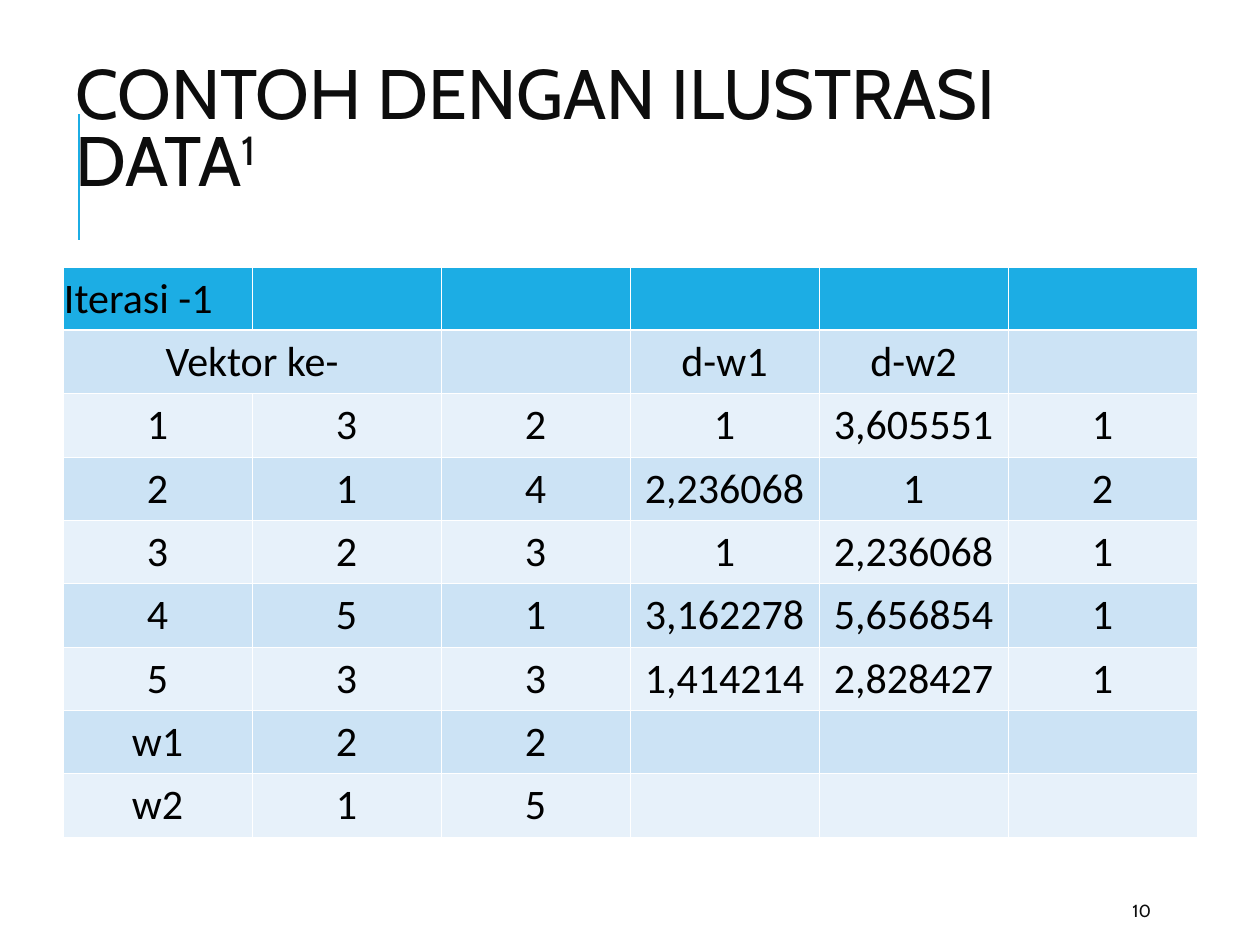
import pptx
import pptx.dml.color
import pptx.enum.shapes
import pptx.enum.text
import pptx.oxml.ns
import pptx.util
from lxml import etree

Cm = pptx.util.Cm
Anchor = pptx.enum.text.MSO_ANCHOR
Align = pptx.enum.text.PP_ALIGN

ROWS = [
    ["Iterasi -1", "", "", "", "", ""],
    ["Vektor ke-", "", "", "d-w1", "d-w2", ""],
    ["1", "3", "2", "1", "3,605551", "1"],
    ["2", "1", "4", "2,236068", "1", "2"],
    ["3", "2", "3", "1", "2,236068", "1"],
    ["4", "5", "1", "3,162278", "5,656854", "1"],
    ["5", "3", "3", "1,414214", "2,828427", "1"],
    ["w1", "2", "2", "", "", ""],
    ["w2", "1", "5", "", "", ""],
]


def color(value):
    return pptx.dml.color.RGBColor.from_string(value)


def assign(target, values):
    for name, value in values.items():
        setattr(target, name, value)


class IterationSlide:
    """Hold the shared style and the slide, and draw each kind of element."""

    ACCENT, INK, BLACK, WHITE = "1CADE4", "0D0D0D", "000000", "FFFFFF"
    BANDS = ("E7F1FA", "CCE3F5")
    THIN, THICK = 0.45, 1.47
    CELL = {"margin_left": Cm(0.02), "margin_right": Cm(0.02),
            "margin_top": Cm(0.13), "margin_bottom": Cm(0.13),
            "vertical_anchor": Anchor.BOTTOM}

    def __init__(self, presentation):
        self.slide = presentation.slides.add_slide(presentation.slide_layouts[6])

    def add_text(self, paragraph, text, font, size, ink):
        run = paragraph.add_run()
        run.text = text
        assign(run.font, {"name": font, "size": pptx.util.Pt(size)})
        run.font.color.rgb = color(ink)
        return run

    def accent_line(self, x, top, bottom):
        line = self.slide.shapes.add_connector(
            pptx.enum.shapes.MSO_CONNECTOR.STRAIGHT, Cm(x), Cm(bottom), Cm(x), Cm(top))
        line.line.color.rgb = color(self.ACCENT)
        line.line.width = pptx.util.Pt(1.5)
        etree.SubElement(line._element.spPr, pptx.oxml.ns.qn("a:effectLst"))

    def text_box(self, left, top, width, height, text, size, superscript="", spacing=1.0):
        shape = self.slide.shapes.add_textbox(Cm(left), Cm(top), Cm(width), Cm(height))
        assign(shape.text_frame, {"word_wrap": True, "vertical_anchor": Anchor.MIDDLE})
        paragraph = shape.text_frame.paragraphs[0]
        paragraph.line_spacing = spacing
        self.add_text(paragraph, text, "Cabin", size, self.INK)
        if superscript:
            run = self.add_text(paragraph, superscript, "Cabin", size, self.INK)
            run._r.get_or_add_rPr().set("baseline", "30000")

    def borders(self, cell, widths):
        properties = cell._tc.get_or_add_tcPr()
        for side, width in widths.items():
            line = etree.SubElement(properties, pptx.oxml.ns.qn(f"a:ln{side}"),
                                    w=str(pptx.util.Pt(width)))
            fill = etree.SubElement(line, pptx.oxml.ns.qn("a:solidFill"))
            etree.SubElement(fill, pptx.oxml.ns.qn("a:srgbClr"), val=self.WHITE)

    def table(self, left, top, column_width, row_height, rows):
        columns = len(rows[0])
        table = self.slide.shapes.add_table(
            len(rows), columns, Cm(left), Cm(top),
            Cm(column_width * columns), Cm(row_height * len(rows))).table
        assign(table, {"first_row": False, "horz_banding": False})
        for row, texts in enumerate(rows):
            for column, text in enumerate(texts):
                cell = table.cell(row, column)
                assign(cell, self.CELL)
                self.borders(cell, {"L": self.THIN, "R": self.THIN,
                                    "T": self.THICK if row == 1 else self.THIN,
                                    "B": self.THICK if row == 0 else self.THIN})
                cell.fill.solid()
                cell.fill.fore_color.rgb = color(self.BANDS[row % 2] if row else self.ACCENT)
                if text:
                    paragraph = cell.text_frame.paragraphs[0]
                    paragraph.alignment = Align.CENTER if row else Align.LEFT
                    self.add_text(paragraph, text, "Calibri", 24, self.BLACK)
        table.cell(1, 0).merge(table.cell(1, 1))


def main():
    presentation = pptx.Presentation()
    assign(presentation, {"slide_width": Cm(25.4), "slide_height": Cm(19.05)})
    page = IterationSlide(presentation)
    page.accent_line(1.59, 2.29, 4.83)
    page.text_box(1.27, 1.96, 22.86, 1.42, "CONTOH DENGAN ILUSTRASI DATA", 40,
                  superscript="1", spacing=0.8)
    page.table(1.27, 5.38, 3.81, 1.04, ROWS)
    page.text_box(22.58, 17.98, 2.03, 0.76, "10", 10)
    presentation.save("out.pptx")


if __name__ == "__main__":
    main()
